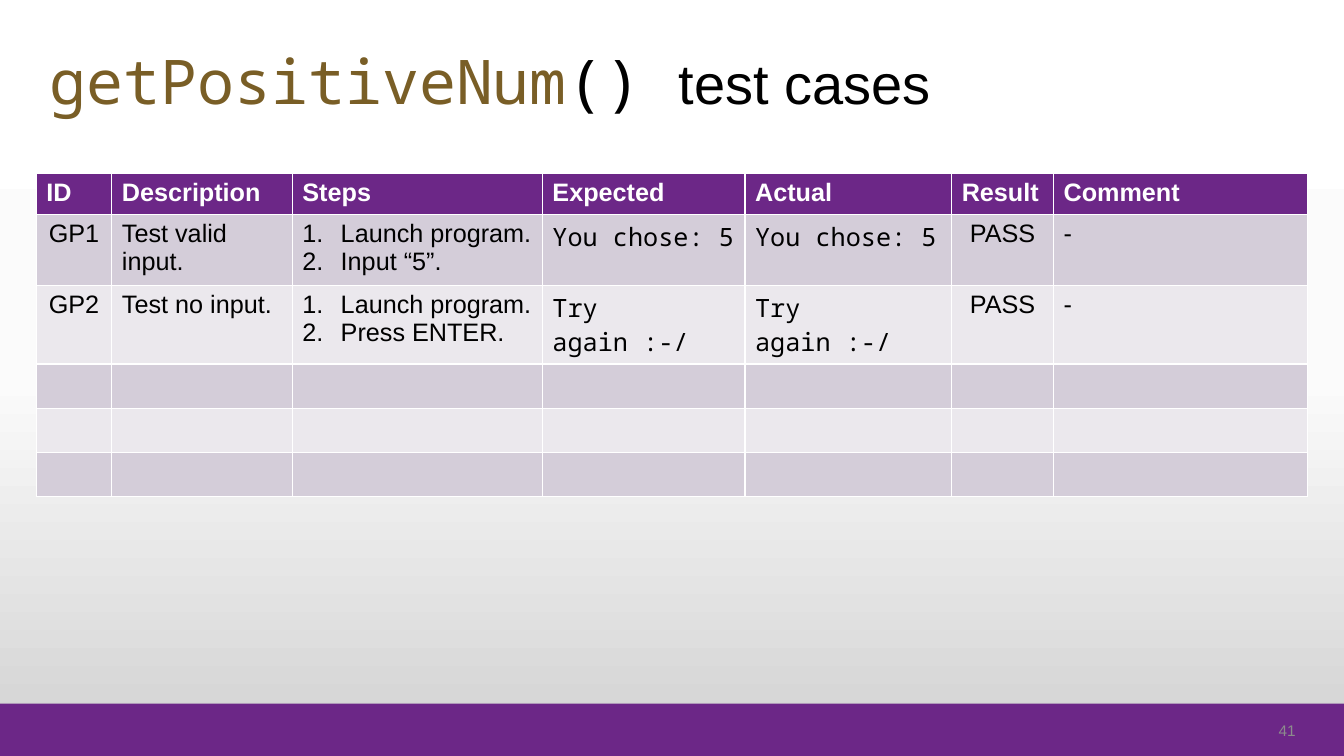
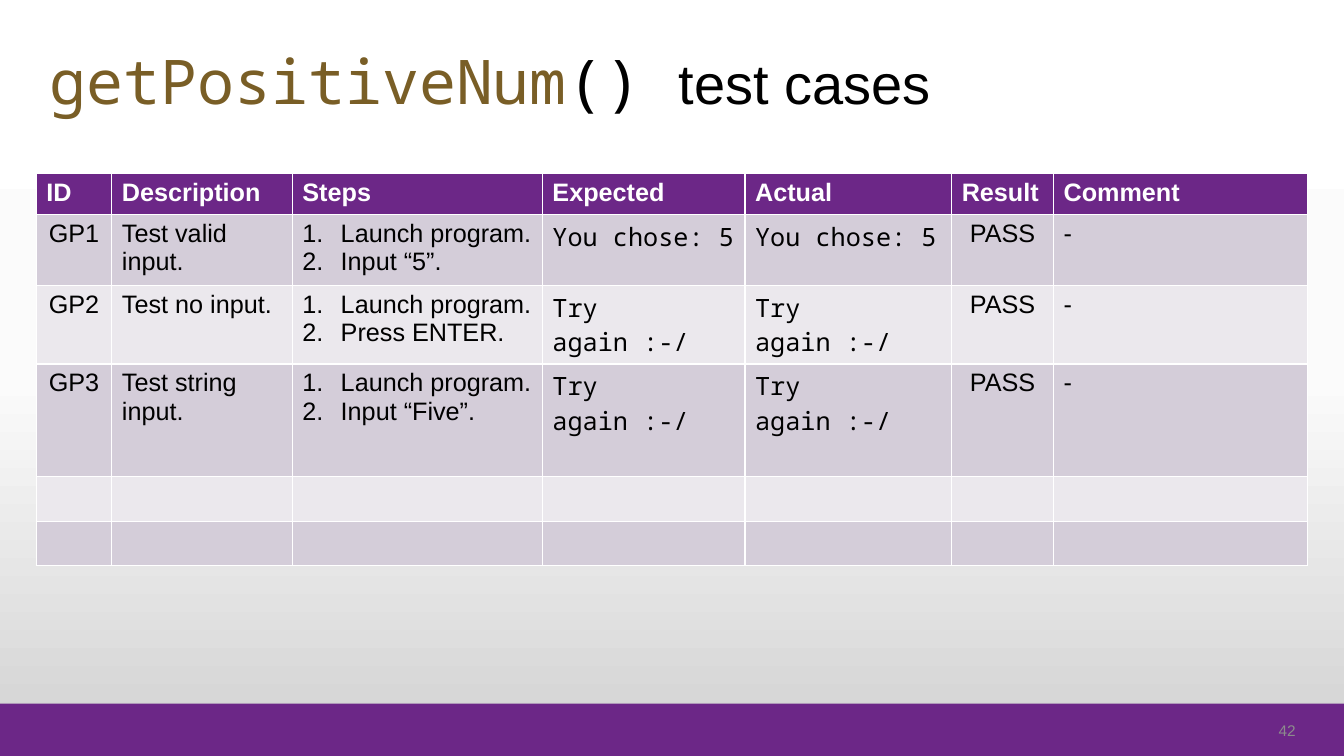
"""Build two slides of getPositiveNum() test cases on a shared master."""
from copy import deepcopy
from dataclasses import dataclass

from lxml import etree
from pptx import Presentation
from pptx import util as u
from pptx.dml.color import RGBColor
from pptx.enum import shapes, text
from pptx.oxml.ns import qn


@dataclass(frozen=True)
class Theme:
    sans: str = "Arial"
    mono: str = "Noto Sans Mono"
    purple: str = "6C2787"
    bands: tuple = ("D4CDD9", "EBE8ED")
    backdrop: tuple = ((0, "FFFFFF"), (0.5, "FBFBFB"), (1, "D1D1D1"))
    black: str = "000000"
    white: str = "FFFFFF"
    code: str = "795E26"
    grey: str = "8C8C8C"
    code_title: int = 44
    title: int = 40
    table: int = 18
    number: int = 11


THEME = Theme()
WIDTH, HEIGHT = 13.33, 7.5
BAND_TOP = 6.98
TITLE_BOX = (0.39, 0.36, 10.36, 0.87)
NUMBER_BOX = (12.4, 7.13, 0.55, 0.24)
TABLE_CORNER = (0.36, 1.72)
COLUMNS = {"ID": 0.75, "Description": 1.79, "Steps": 2.48, "Expected": 2.01,
           "Actual": 2.05, "Result": 1.01, "Comment": 2.52}
CENTERED = ("ID", "Result")
CODE = ("Expected", "Actual")
HEADER_HEIGHT, EMPTY_HEIGHT = 0.41, 0.44
BODY_ROWS = 5
STEP_INDENT = 0.38

TITLE = [("getPositiveNum", THEME.code_title, THEME.mono, THEME.code),
         ("() ", THEME.code_title, THEME.mono, THEME.black),
         ("test cases", THEME.title, THEME.sans, THEME.black)]
CHOSE, RETRY = "You chose: 5", "Try again :-/"
CASES = [
    (0.66, ("GP1", "Test valid input.", ["Launch program.", "Input “5”."],
            CHOSE, CHOSE, "PASS", "-")),
    (0.78, ("GP2", "Test no input.", ["Launch program.", "Press ENTER."],
            RETRY, RETRY, "PASS", "-")),
    (1.12, ("GP3", "Test string input.", ["Launch program.", "Input “Five”."],
            RETRY, RETRY, "PASS", "-")),
]
SLIDES = [("41", CASES[:2]), ("42", CASES)]


def inches(values):
    return [u.Inches(value) for value in values]


def add_span(para, words, size, font, color, bold=False):
    span = para.add_run()
    span.text = words
    span.font.size = u.Pt(size)
    span.font.name = font
    span.font.bold = bold
    span.font.color.rgb = RGBColor.from_string(color)


def number_para(para):
    props = para._p.get_or_add_pPr()
    indent = u.Inches(STEP_INDENT)
    props.set("marL", str(indent))
    props.set("indent", str(-indent))
    etree.SubElement(props, qn("a:buAutoNum"), type="arabicPeriod")


def style_master(master):
    fill = master.background.fill
    fill.gradient()
    fill.gradient_angle = 270
    stops = master.element.xpath(".//p:bg//a:gsLst")[0]
    stops.insert(1, deepcopy(stops[0]))
    for stop, (position, color) in zip(fill.gradient_stops, THEME.backdrop):
        stop.position = position
        stop.color.rgb = RGBColor.from_string(color)


def add_master_band(master, page):
    band = page.shapes.add_shape(
        shapes.MSO_SHAPE.RECTANGLE,
        *inches((0, BAND_TOP, WIDTH, HEIGHT - BAND_TOP)))
    band.shadow.inherit = False
    band.fill.solid()
    band.fill.fore_color.rgb = RGBColor.from_string(THEME.purple)
    band.line.fill.background()
    master.element.xpath(".//p:spTree")[0].insert(2, band.element)


def add_title(page):
    box = page.shapes.title
    box.left, box.top, box.width, box.height = inches(TITLE_BOX)
    frame = box.text_frame
    frame.word_wrap = True
    frame.auto_size = text.MSO_AUTO_SIZE.NONE
    frame.vertical_anchor = text.MSO_ANCHOR.MIDDLE
    para = frame.paragraphs[0]
    para.alignment = text.PP_ALIGN.LEFT
    for part in TITLE:
        add_span(para, *part)


def add_number(page, number):
    frame = page.shapes.add_textbox(*inches(NUMBER_BOX)).text_frame
    frame.word_wrap = True
    frame.vertical_anchor = text.MSO_ANCHOR.MIDDLE
    frame.margin_top = frame.margin_bottom = 0
    para = frame.paragraphs[0]
    para.alignment = text.PP_ALIGN.RIGHT
    add_span(para, number, THEME.number, THEME.sans, THEME.grey)


def fill_cell(cell, column, content, header):
    lines = content if isinstance(content, list) else [content]
    frame = cell.text_frame
    for index, line in enumerate(lines):
        para = frame.add_paragraph() if index else frame.paragraphs[0]
        if isinstance(content, list):
            number_para(para)
        if column in CENTERED and not header:
            para.alignment = text.PP_ALIGN.CENTER
        font = THEME.mono if column in CODE and not header else THEME.sans
        color = THEME.white if header else THEME.black
        add_span(para, line, THEME.table, font, color, header)


def add_case_table(page, cases):
    empty = [(EMPTY_HEIGHT, ())] * (BODY_ROWS - len(cases))
    rows = [(HEADER_HEIGHT, tuple(COLUMNS)), *cases, *empty]
    size = (sum(COLUMNS.values()), sum(height for height, _ in rows))
    table = page.shapes.add_table(
        len(rows), len(COLUMNS), *inches(TABLE_CORNER + size)).table
    for column, width in zip(table.columns, COLUMNS.values()):
        column.width = u.Inches(width)
    for index, (height, contents) in enumerate(rows):
        row = table.rows[index]
        row.height = u.Inches(height)
        color = THEME.bands[(index - 1) % 2] if index else THEME.purple
        for cell in row.cells:
            cell.fill.solid()
            cell.fill.fore_color.rgb = RGBColor.from_string(color)
        for cell, column, content in zip(row.cells, COLUMNS, contents):
            fill_cell(cell, column, content, index == 0)


def main():
    deck = Presentation()
    deck.slide_width, deck.slide_height = inches((WIDTH, HEIGHT))
    style_master(deck.slide_master)
    for number, cases in SLIDES:
        page = deck.slides.add_slide(deck.slide_layouts.get_by_name("Title Only"))
        add_number(page, number)
        add_title(page)
        add_case_table(page, cases)
    add_master_band(deck.slide_master, deck.slides[0])
    deck.save("out.pptx")


if __name__ == "__main__":
    main()
